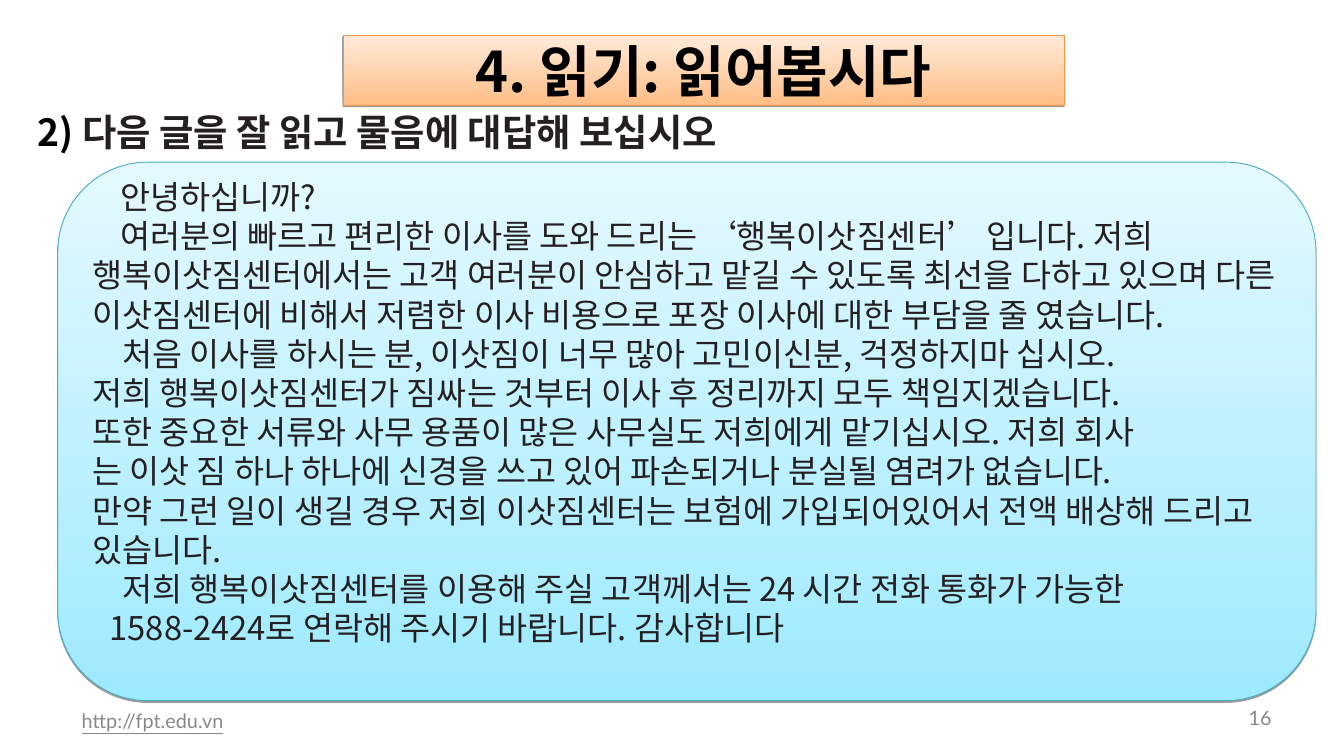
from lxml.etree import SubElement
from pptx import Presentation
from pptx.dml.color import RGBColor
from pptx.enum.shapes import MSO_SHAPE
from pptx.enum.text import MSO_ANCHOR, PP_ALIGN
from pptx.oxml.ns import qn
from pptx.util import Pt

SANS = "Noto Sans CJK KR"
LATO = "Lato"
INK = "242021"
GREY = "898989"


def color(code):
    return RGBColor.from_string(code)


class Page:
    def __init__(self, deck):
        self.slide = deck.slides.add_slide(deck.slide_layouts[6])

    def run(self, para, text, size, font, ink, bold=False, line=False):
        run = para.add_run()
        run.text = text
        face = run.font
        face.size, face.name, face.bold = Pt(size), font, bold
        face.underline = line
        face.color.rgb = color(ink)

    def frame(self, shape, anchor, pads):
        frame = shape.text_frame
        frame.word_wrap = True
        frame.vertical_anchor = anchor
        left, top, right, low = pads
        frame.margin_left, frame.margin_right = Pt(left), Pt(right)
        frame.margin_top, frame.margin_bottom = Pt(top), Pt(low)
        return frame

    def label(self, box, anchor, pads, align=PP_ALIGN.LEFT):
        shape = self.slide.shapes.add_textbox(*map(Pt, box))
        para = self.frame(shape, anchor, pads).paragraphs[0]
        para.alignment = align
        return para

    def panel(self, kind, box, low, high, edge, anchor, pads):
        shape = self.slide.shapes.add_shape(kind, *map(Pt, box))
        shape.fill.gradient()
        shape.fill.gradient_angle = 90
        for stop, code in zip(shape.fill.gradient_stops, (low, high)):
            stop.color.rgb = color(code)
        shape.line.color.rgb = color(edge)
        shape.line.width = Pt(0.75)
        self.shade(shape)
        return self.frame(shape, anchor, pads)

    def shade(self, shape):
        shape.shadow.inherit = False
        effect = shape._element.spPr.find(qn("a:effectLst"))
        outer = SubElement(effect, qn("a:outerShdw"), blurRad="0",
                           dist=str(Pt(1.6)), dir="5400000", rotWithShape="0")
        tint = SubElement(outer, qn("a:srgbClr"), val="000000")
        SubElement(tint, qn("a:alpha"), val="38000")


# Letter lines: first-line indent and text
LETTER = [
    (24, "안녕하십니까?"),
    (24, "여러분의 빠르고 편리한 이사를 도와 드리는 ‘행복이삿짐센터’ 입니다. "
         "저희 행복이삿짐센터에서는 고객 여러분이 안심하고 맡길 수 있도록 최선을 다하고 있으며 "
         "다른 이삿짐센터에 비해서 저렴한 이사 비용으로 포장 이사에 대한 부담을 줄 였습니다."),
    (26, "처음 이사를 하시는 분, 이삿짐이 너무 많아 고민이신분, 걱정하지마 십시오."),
    (0, "저희 행복이삿짐센터가 짐싸는 것부터 이사 후 정리까지 모두 책임지겠습니다."),
    (0, "또한 중요한 서류와 사무 용품이 많은 사무실도 저희에게 맡기십시오. 저희 회사"),
    (0, "는 이삿 짐 하나 하나에 신경을 쓰고 있어 파손되거나 분실될 염려가 없습니다."),
    (0, "만약 그런 일이 생길 경우 저희 이삿짐센터는 보험에 가입되어있어서 "
        "전액 배상해 드리고 있습니다."),
    (26, "저희 행복이삿짐센터를 이용해 주실 고객께서는 24 시간 전화 통화가 가능한"),
    (15, "1588-2424로 연락해 주시기 바랍니다. 감사합니다"),
]


def main():
    deck = Presentation()
    deck.slide_width, deck.slide_height = Pt(1152), Pt(648)
    page = Page(deck)
    mid = MSO_ANCHOR.MIDDLE

    # Footer
    pads = (10, 5, 10, 5)
    para = page.label((60, 600, 365, 34.5), mid, pads)
    page.run(para, "http://fpt.edu.vn", 17, LATO, GREY, line=True)
    para = page.label((1044, 600, 56, 29.5), mid, pads, PP_ALIGN.RIGHT)
    page.run(para, "16", 17, LATO, GREY)

    # Title
    frame = page.panel(MSO_SHAPE.RECTANGLE, (294, 30, 618, 60), "FFBE86",
                       "FFEBDB", "F69240", mid, (7.2, 3.6, 7.2, 3.6))
    para = frame.paragraphs[0]
    para.alignment = PP_ALIGN.CENTER
    page.run(para, "4. 읽기: 읽어봅시다", 48, SANS, "000000", bold=True)

    # Task
    para = page.label((18, 90, 1134, 36), MSO_ANCHOR.TOP, (14, 3.6, 7, 0))
    page.run(para, "2) ", 32, SANS, "000000", bold=True)
    page.run(para, "다음 글을 잘 읽고 물음에 대답해 보십시오", 32, LATO, INK, bold=True)

    # Letter
    frame = page.panel(MSO_SHAPE.ROUNDED_RECTANGLE, (49.5, 139, 1078.5, 461.5),
                       "9EEAFF", "E4F9FF", "46AAC5", MSO_ANCHOR.TOP,
                       (7.2, -10, 7.2, 3.6))
    for i, (indent, text) in enumerate(LETTER):
        para = frame.add_paragraph() if i else frame.paragraphs[0]
        para.alignment = PP_ALIGN.LEFT
        para._p.get_or_add_pPr().set("indent", str(Pt(indent)))
        page.run(para, text, 28, SANS, INK)

    deck.save("out.pptx")


if __name__ == "__main__":
    main()
